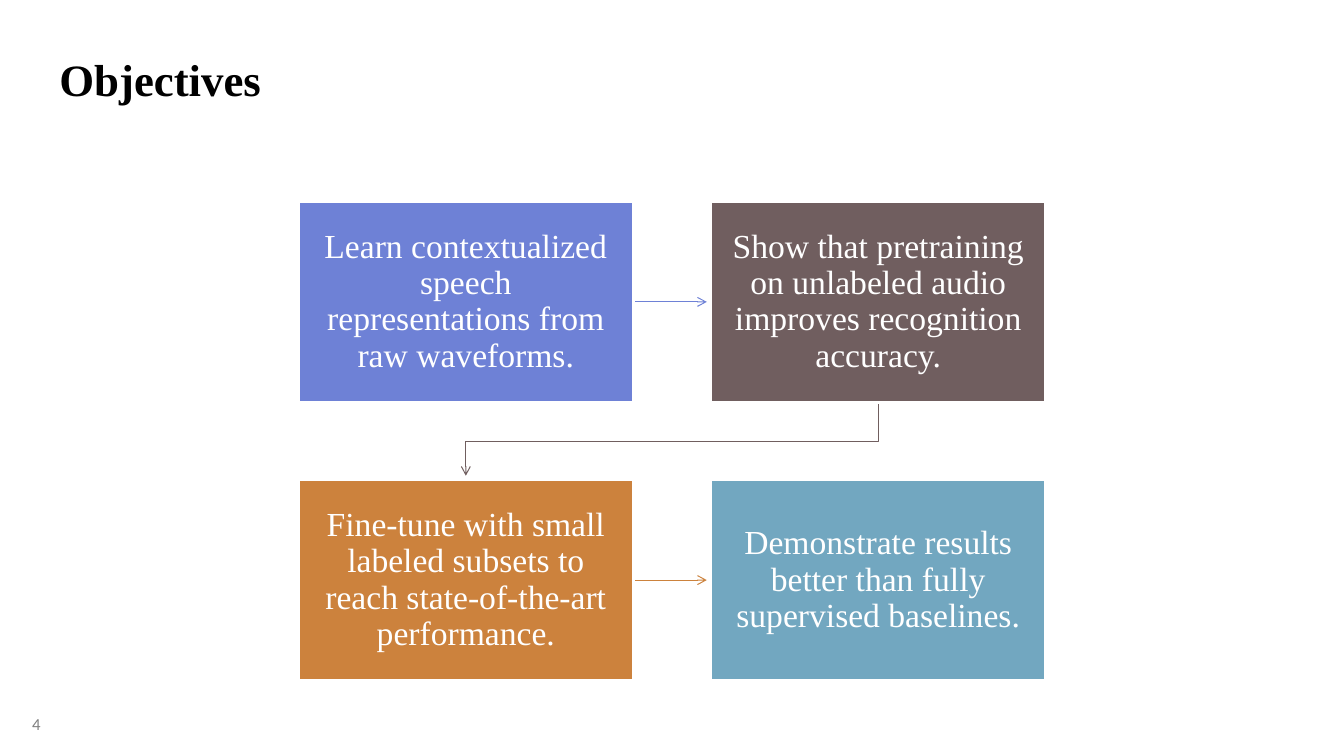
from lxml.etree import SubElement
from pptx import Presentation
from pptx.dml.color import RGBColor
from pptx.enum.shapes import MSO_CONNECTOR, MSO_SHAPE
from pptx.enum.text import MSO_ANCHOR, PP_ALIGN
from pptx.oxml.ns import qn
from pptx.util import Pt

PX = 9144
WHITE = RGBColor(0xFF, 0xFF, 0xFF)
BLACK = RGBColor(0x00, 0x00, 0x00)
GRAY = RGBColor(0x80, 0x80, 0x80)
BLUE = RGBColor(0x6E, 0x81, 0xD6)
BROWN = RGBColor(0x70, 0x5E, 0x5F)
ORANGE = RGBColor(0xCC, 0x82, 0x3D)
TEAL = RGBColor(0x72, 0xA7, 0xC0)

LEFT, TOP = 296, 200
WIDTH, HEIGHT = 332, 199
STEP_X, STEP_Y = 409, 276
GAP = 4

OBJECTIVES = [
    [
        ("Learn contextualized speech representations from raw waveforms.", BLUE),
        ("Show that pretraining on unlabeled audio improves recognition accuracy.", BROWN),
    ],
    [
        ("Fine-tune with small labeled subsets to reach state-of-the-art performance.", ORANGE),
        ("Demonstrate results better than fully supervised baselines.", TEAL),
    ],
]


def write(frame, text, size, color, font="Times New Roman", bold=False,
          align=PP_ALIGN.LEFT, anchor=MSO_ANCHOR.TOP, spacing=1.0):
    frame.word_wrap = True
    frame.vertical_anchor = anchor
    para = frame.paragraphs[0]
    para.alignment = align
    para.line_spacing = spacing
    span = para.add_run()
    span.text = text
    span.font.name = font
    span.font.size = Pt(size)
    span.font.bold = bold
    span.font.color.rgb = color


class Sketch:
    def __init__(self, page, arrow_width=0.75, border_width=2):
        self.page = page
        self.arrow_width = arrow_width
        self.border_width = border_width

    def label(self, left, top, width, height, text, **style):
        box = self.page.shapes.add_textbox(left * PX, top * PX, width * PX, height * PX)
        write(box.text_frame, text, **style)

    def card(self, left, top, text, color):
        box = self.page.shapes.add_shape(
            MSO_SHAPE.RECTANGLE, left * PX, top * PX, WIDTH * PX, HEIGHT * PX)
        box.shadow.inherit = False
        box.fill.solid()
        box.fill.fore_color.rgb = color
        box.line.color.rgb = WHITE
        box.line.width = Pt(self.border_width)
        frame = box.text_frame
        frame.margin_left = frame.margin_right = 16 * PX
        frame.margin_top = frame.margin_bottom = 17 * PX
        write(frame, text, size=24, color=WHITE, align=PP_ALIGN.CENTER,
              anchor=MSO_ANCHOR.MIDDLE, spacing=0.9)
        return box

    def arrow(self, left, right, y, color):
        arrow = self.page.shapes.add_connector(
            MSO_CONNECTOR.STRAIGHT, left * PX, y * PX, right * PX, y * PX)
        SubElement(self.point(arrow, color).getparent(), qn("a:effectLst"))
        return arrow

    def bent_arrow(self, points, color):
        builder = self.page.shapes.build_freeform(*points[0], scale=PX)
        builder.add_line_segments(points[1:], close=False)
        arrow = builder.convert_to_shape()
        arrow.shadow.inherit = False
        arrow.fill.background()
        self.point(arrow, color)

    def point(self, arrow, color):
        arrow.line.color.rgb = color
        arrow.line.width = Pt(self.arrow_width)
        line = arrow.line.fill._xPr
        SubElement(line, qn("a:tailEnd"), type="arrow")
        return line


def main():
    deck = Presentation()
    deck.slide_width = 1333 * PX
    deck.slide_height = 750 * PX
    page = deck.slides.add_slide(deck.slide_layouts[6])
    sketch = Sketch(page)

    sketch.label(22, 703, 122, 55, "4", size=12, color=GRAY, font="Calibri")
    sketch.label(49, 30, 1239, 80, "Objectives", size=32, color=BLACK, bold=True,
                 anchor=MSO_ANCHOR.BOTTOM)

    right = LEFT + STEP_X
    bottom = TOP + HEIGHT
    turn = bottom + 39
    start_x, end_x = right + WIDTH // 2, LEFT + WIDTH // 2
    sketch.bent_arrow(
        [(start_x, bottom), (start_x, turn), (end_x, turn), (end_x, TOP + STEP_Y - GAP)],
        BROWN)

    for row, (first, second) in enumerate(OBJECTIVES):
        top = TOP + row * STEP_Y
        arrow = sketch.arrow(LEFT + WIDTH, right - GAP, top + HEIGHT // 2, first[1])
        box = sketch.card(LEFT, top, *first)
        arrow.begin_connect(box, 3)
        arrow.end_y = arrow.begin_y
        sketch.card(right, top, *second)

    deck.save("out.pptx")


if __name__ == "__main__":
    main()
